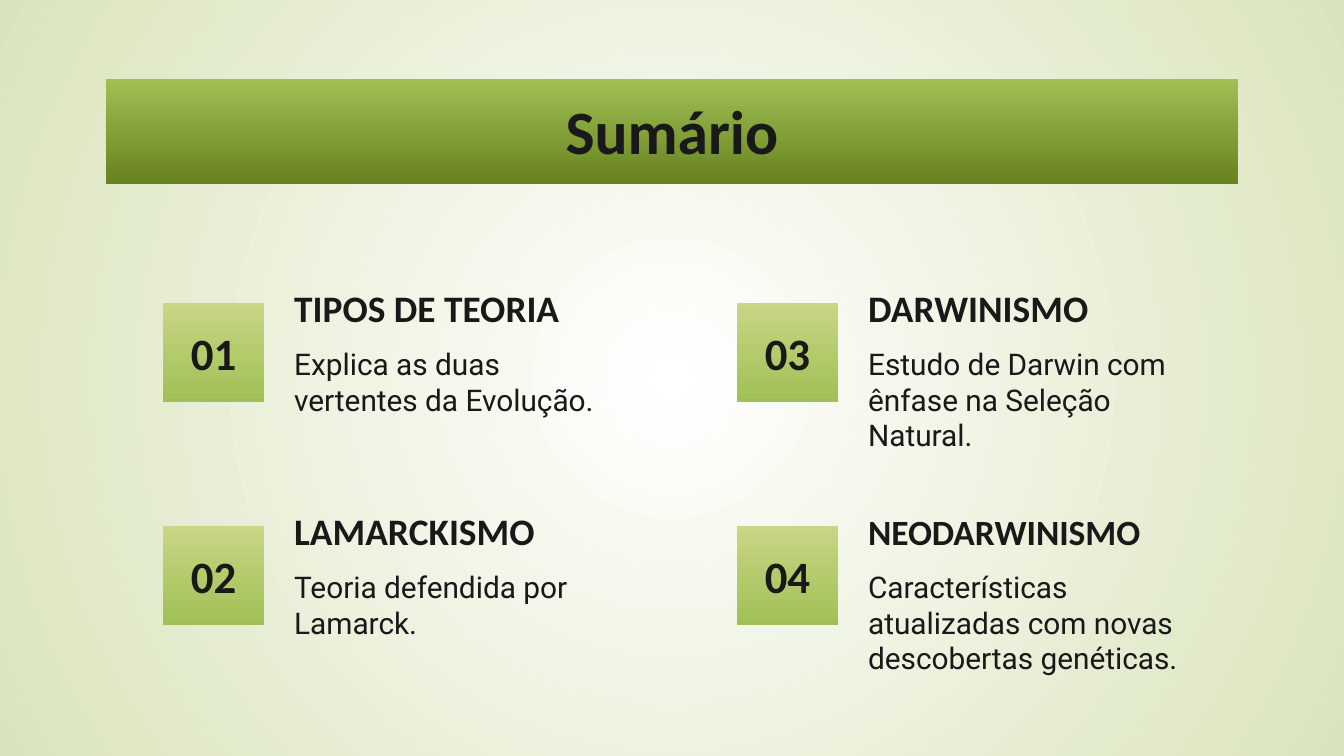
from lxml import etree
from pptx import Presentation
from pptx import util as u
from pptx.dml.color import RGBColor
from pptx.enum import shapes, text
from pptx.oxml.ns import qn

TITLE = "Sumário"
TOPICS = [  # heading, summary, heading size; filled column by column
    ("TIPOS DE TEORIA", "Explica as duas vertentes da Evolução.", 20),
    ("LAMARCKISMO", "Teoria defendida por Lamarck.", 20),
    ("DARWINISMO", "Estudo de Darwin com ênfase na Seleção Natural.", 20),
    ("NEODARWINISMO", "Características atualizadas com novas descobertas genéticas.", 19),
]
ROWS = 2

THEME = {
    "ink": "191919",
    "back": ("FFFFFF", "DAE4BC"),
    "bar": ("A0C055", "67821E"),
    "tile": ("C9D685", "A0C055"),
    "head": "Calibri",
    "body": "Roboto",
    "title_size": 33,
    "number_size": 24,
    "body_size": 16,
}

PX = 914400 / 134.4
WIDTH, HEIGHT = 1344, 756
BAR = (106, 79, 1132, 105)
# Boxes of the first topic; the others are shifted by whole steps.
TILE = (163, 303, 101, 99)
HEAD = (281, 284, 341, 59)
BODY = (281, 332, 341, 134)
STEP_X, STEP_Y = 574, 223


def px(num):
    return u.Emu(round(num * PX))


def blend(fill, pair):
    """Fill with a two-colour gradient that runs downwards."""
    fill.gradient()
    fill.gradient_angle = 270
    for stop, tone in zip(fill.gradient_stops, pair):
        stop.color.rgb = RGBColor.from_string(tone)


def glow(slide, pair):
    """Give the slide a round gradient from its centre."""
    blend(slide.background.fill, pair)
    line = next(slide.element.iter(qn("a:lin")))
    path = etree.Element(qn("a:path"), path="circle")
    etree.SubElement(path, qn("a:fillToRect"), l="50000", t="50000", r="50000", b="50000")
    line.getparent().replace(line, path)


def place(shape, box):
    shape.left, shape.top, shape.width, shape.height = map(px, box)


def write(shape, words, size, font=THEME["head"], bold=True,
          align=text.PP_ALIGN.LEFT, anchor=text.MSO_ANCHOR.TOP):
    frame = shape.text_frame
    frame.text = words
    frame.word_wrap = True
    frame.auto_size = text.MSO_AUTO_SIZE.NONE
    frame.vertical_anchor = anchor
    frame.margin_left = frame.margin_right = u.Inches(0.1)
    frame.margin_top = frame.margin_bottom = u.Inches(0.1)
    para = frame.paragraphs[0]
    para.alignment = align
    face = para.runs[0].font
    face.name, face.size, face.bold = font, u.Pt(size), bold
    face.color.rgb = RGBColor.from_string(THEME["ink"])


def shift(box, index):
    col, row = divmod(index, ROWS)
    left, top, wide, high = box
    return left + col * STEP_X, top + row * STEP_Y, wide, high


def topic(slide, index, head, body, size):
    tile = slide.shapes.add_shape(shapes.MSO_SHAPE.RECTANGLE, *map(px, shift(TILE, index)))
    tile.shadow.inherit = False
    tile.line.fill.background()
    blend(tile.fill, THEME["tile"])
    write(tile, f"{index + 1:02}", THEME["number_size"],
          align=text.PP_ALIGN.CENTER, anchor=text.MSO_ANCHOR.MIDDLE)
    label = slide.shapes.add_textbox(*map(px, shift(HEAD, index)))
    write(label, head, size, anchor=text.MSO_ANCHOR.BOTTOM)
    note = slide.shapes.add_textbox(*map(px, shift(BODY, index)))
    write(note, body, THEME["body_size"], font=THEME["body"], bold=False)


def main():
    deck = Presentation()
    deck.slide_width, deck.slide_height = px(WIDTH), px(HEIGHT)
    slide = deck.slides.add_slide(deck.slide_layouts[5])
    glow(slide, THEME["back"])
    title = slide.shapes.title
    place(title, BAR)
    blend(title.fill, THEME["bar"])
    write(title, TITLE, THEME["title_size"], align=text.PP_ALIGN.CENTER)
    for index, item in enumerate(TOPICS):
        topic(slide, index, *item)
    deck.save("out.pptx")


if __name__ == "__main__":
    main()
